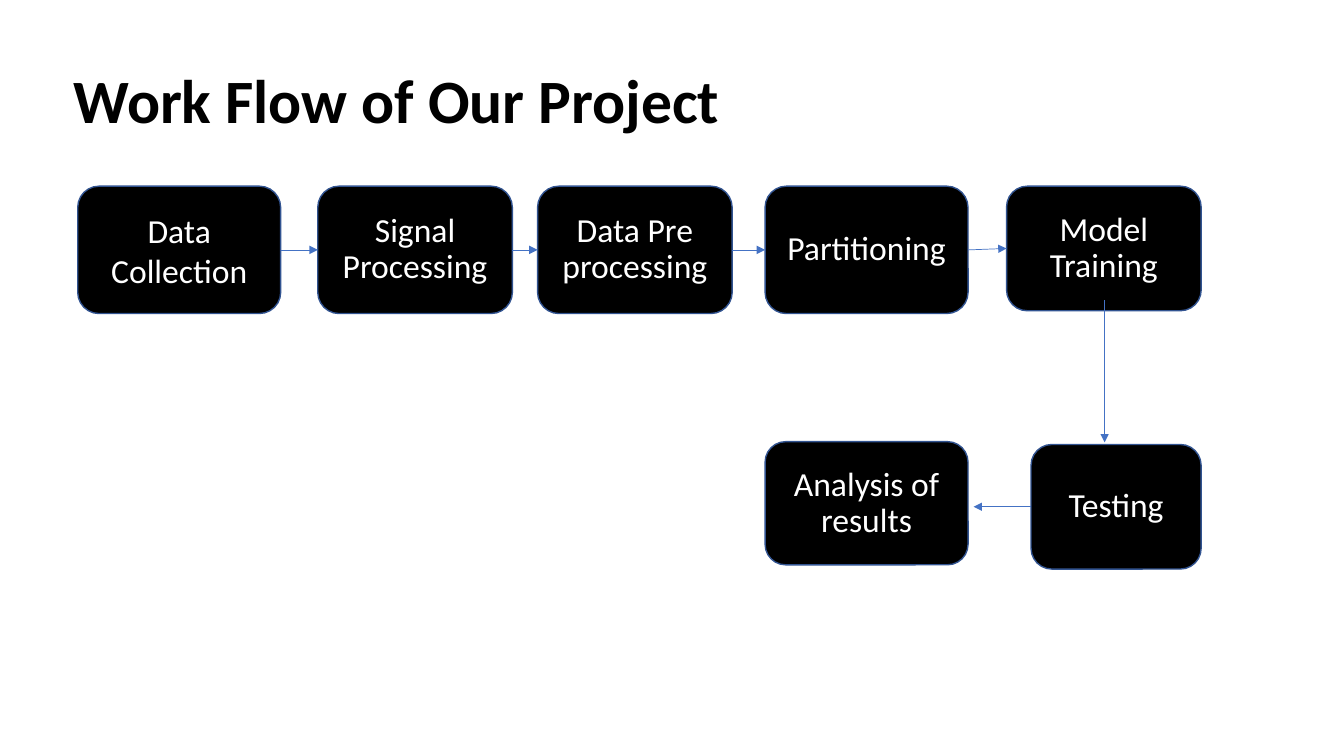
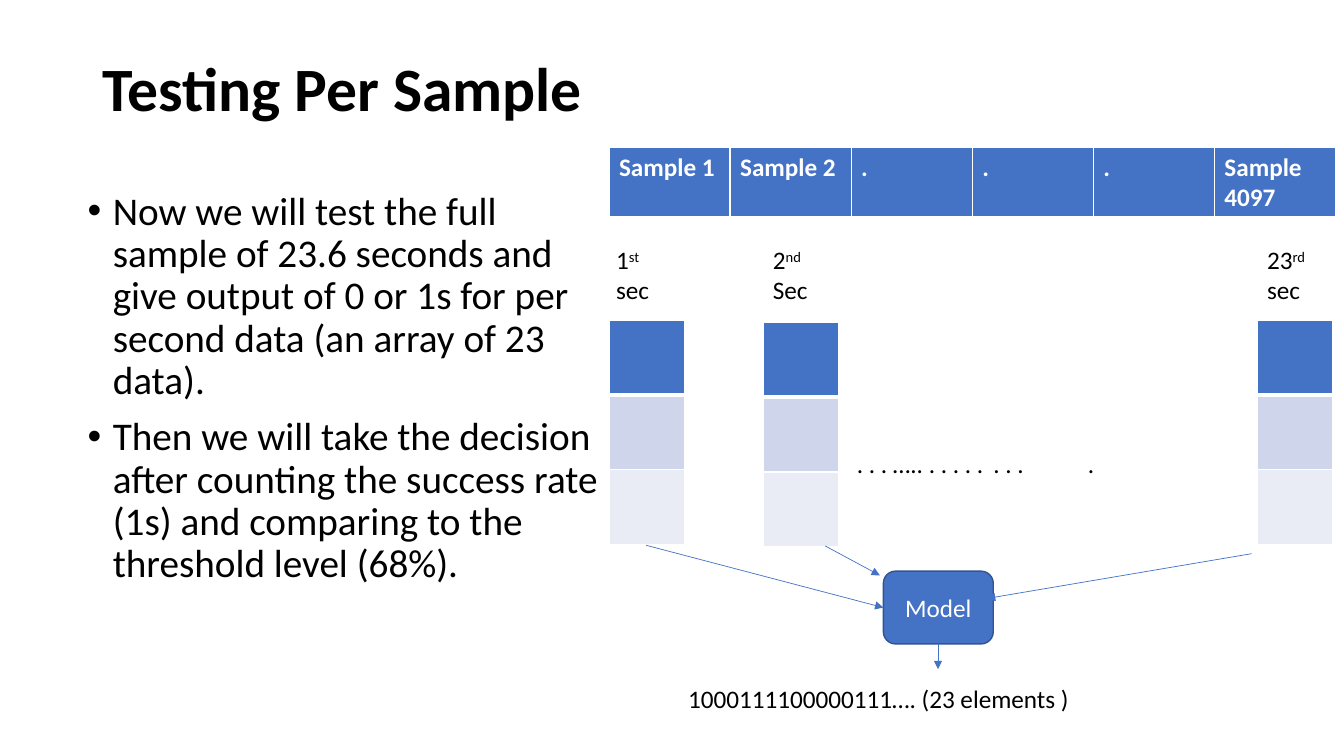
from itertools import pairwise

from lxml import etree
from pptx import Presentation
from pptx.dml.color import RGBColor
from pptx.enum.shapes import MSO_CONNECTOR, MSO_SHAPE
from pptx.enum.text import MSO_ANCHOR, PP_ALIGN
from pptx.oxml.ns import qn
from pptx.util import Pt

FONT = "Calibri"
COLORS = {
    "ink": "000000",
    "paper": "FFFFFF",
    "accent": "4472C4",
    "outline": "325491",
    "band_dark": "CFD5EA",
    "band_light": "E9EBF5",
}


def rgb(name):
    return RGBColor.from_string(COLORS[name])


def style_runs(paragraph, size, color="ink", bold=False):
    for run in paragraph.runs:
        run.font.name = FONT
        run.font.size = Pt(size)
        run.font.bold = bold
        run.font.color.rgb = rgb(color)


def add_text(slide, left, top, width, height, text, size=18, bold=False):
    box = slide.shapes.add_textbox(Pt(left), Pt(top), Pt(width), Pt(height))
    frame = box.text_frame
    frame.word_wrap = True
    frame.text = text
    for paragraph in frame.paragraphs:
        style_runs(paragraph, size, bold=bold)
    return frame


def add_title(slide, left, top, width, height, text):
    frame = add_text(slide, left, top, width, height, text, 44, True)
    frame.vertical_anchor = MSO_ANCHOR.MIDDLE
    frame.paragraphs[0].line_spacing = 0.9


def add_rounded_box(slide, left, top, width, height, text, fill, size):
    box = slide.shapes.add_shape(
        MSO_SHAPE.ROUNDED_RECTANGLE, Pt(left), Pt(top), Pt(width), Pt(height))
    box.shadow.inherit = False
    box.fill.solid()
    box.fill.fore_color.rgb = rgb(fill)
    box.line.color.rgb = rgb("outline")
    box.line.width = Pt(1)
    frame = box.text_frame
    frame.word_wrap = True
    frame.vertical_anchor = MSO_ANCHOR.MIDDLE
    frame.text = text
    frame.paragraphs[0].alignment = PP_ALIGN.CENTER
    style_runs(frame.paragraphs[0], size, "paper")
    return box


def add_arrow(slide, x1, y1, x2, y2):
    arrow = slide.shapes.add_connector(
        MSO_CONNECTOR.STRAIGHT, Pt(x1), Pt(y1), Pt(x2), Pt(y2))
    arrow.line.color.rgb = rgb("accent")
    arrow.line.width = Pt(0.5)
    properties = arrow.line._get_or_add_ln()
    etree.SubElement(properties, qn("a:tailEnd"), type="triangle")
    etree.SubElement(arrow._element.spPr, qn("a:effectLst"))
    return arrow


def set_borders(cell, bottom):
    """Draw white borders, with the bottom one of the given width."""
    properties = cell._tc.get_or_add_tcPr()
    widths = (("a:lnL", 1), ("a:lnR", 1), ("a:lnT", 1), ("a:lnB", bottom))
    for position, (tag, width) in enumerate(widths):
        line = etree.Element(qn(tag), w=str(Pt(width)))
        fill = etree.SubElement(line, qn("a:solidFill"))
        etree.SubElement(fill, qn("a:srgbClr"), val=COLORS["paper"])
        properties.insert(position, line)


def add_grid(slide, left, top, column_width, row_height, rows):
    """Add a table from rows of (fill, bottom border, texts)."""
    count = len(rows[0][2])
    table = slide.shapes.add_table(
        len(rows), count, Pt(left), Pt(top),
        Pt(column_width * count), Pt(row_height * len(rows))).table
    for row, (fill, bottom, texts) in enumerate(rows):
        for column, text in enumerate(texts):
            cell = table.cell(row, column)
            cell.fill.solid()
            cell.fill.fore_color.rgb = rgb(fill)
            set_borders(cell, bottom)
            if text:
                cell.text_frame.text = text
                style_runs(cell.text_frame.paragraphs[0], 18, "paper", True)


def add_bullets(slide, left, top, width, height, items):
    frame = add_text(slide, left, top, width, height, "\n".join(items), 28)
    for paragraph in frame.paragraphs:
        paragraph.line_spacing = 0.9
        paragraph.space_before = Pt(10)
        properties = paragraph._p.get_or_add_pPr()
        properties.set("marL", str(Pt(18)))
        properties.set("indent", str(Pt(-18)))
        etree.SubElement(properties, qn("a:buFont"), typeface="Arial")
        etree.SubElement(properties, qn("a:buChar"), char="•")


def add_ordinal(slide, left, top, width, number, suffix, unit):
    """Label a second as a number with a raised suffix."""
    paragraph = add_text(slide, left, top, width, 51, number).paragraphs[0]
    raised = paragraph.add_run()
    raised.text = suffix
    paragraph.add_run().text = f" {unit}"
    style_runs(paragraph, 18)
    raised._r.get_or_add_rPr().set("baseline", "30000")


def add_workflow(slide, left, top):
    def step(x, y, width, height, text):
        box = add_rounded_box(
            slide, left + x, top + y, width, height, text, "ink", 24)
        if text != "Data Collection":
            box.text_frame.paragraphs[0].line_spacing = 0.9
            box.text_frame.paragraphs[0].space_before = Pt(10)
        return box

    chain = [
        step(0, 0, 145, 91, "Data Collection"),
        step(171.5, 0, 139, 91, "Signal Processing"),
        step(328.5, 0, 139, 91, "Data Pre processing"),
        step(491, 0, 145, 91, "Partitioning"),
        step(663.5, 0, 139, 89, "Model Training"),
    ]
    step(681, 184.5, 121.5, 89, "Testing")
    step(491, 182.5, 145, 88, "Analysis of results")
    for source, target in pairwise(chain):
        arrow = add_arrow(slide, left, top, left, top)
        arrow.begin_connect(source, 3)
        arrow.end_connect(target, 1)
    add_arrow(slide, left + 733.5, top + 81.5, left + 733.5, top + 183)
    add_arrow(slide, left + 681, top + 229, left + 640, top + 229)


def add_sample_diagram(slide, left, top):
    headings = ["Sample 1", "Sample 2", ".", ".", ".", "Sample 4097"]
    add_grid(slide, left, top, 86.5, 50, [("accent", 3, headings)])

    seconds = [
        (0, 124, -2, 38, "1", "st", "sec"),
        (110, 125.5, 110, 45, "2", "nd", "Sec"),
        (463, 124, 463, 45, "23", "rd", "sec"),
    ]
    bands = [("accent", 3, [""]), ("band_dark", 1, [""]),
             ("band_light", 1, [""])]
    for x, y, label_x, width, number, suffix, unit in seconds:
        add_grid(slide, left + x, top + y, 54, 53.3, bands)
        add_ordinal(slide, left + label_x, top + 66, width,
                    number, suffix, unit)

    for x, width, dots in ((170, 105, ". . . ….. . . . . ."),
                           (267.5, 50, ". . ."), (335, 30, ".")):
        add_text(slide, left + x, top + 212, width, 29, dots)

    add_rounded_box(slide, left + 196, top + 303, 78.5, 52,
                    "Model", "accent", 18)
    for x1, y1, x2, y2 in (
            (26.5, 284.5, 196, 329), (154.5, 285, 193.5, 306),
            (459, 290.5, 270, 322.5), (235, 355, 235, 373)):
        add_arrow(slide, left + x1, top + y1, left + x2, top + y2)
    add_text(slide, left + 49.5, top + 379.5, 405.5, 29,
             "1000111100000111…. (23 elements )")


def main():
    deck = Presentation()
    deck.slide_width, deck.slide_height = Pt(960), Pt(540)
    blank = deck.slide_layouts[6]

    workflow = deck.slides.add_slide(blank)
    add_title(workflow, 45.5, 21.5, 828, 104.5, "Work Flow of Our Project")
    add_workflow(workflow, 55.5, 133)

    testing = deck.slides.add_slide(blank)
    add_title(testing, 66, 29, 779, 73, "Testing Per Sample")
    add_bullets(testing, 55.5, 133, 379.5, 350, [
        "Now we will test the full sample of 23.6 seconds and give output "
        "of 0 or 1s for per second data (an array of 23 data).",
        "Then we will take the decision after counting the success rate "
        "(1s) and comparing to the threshold level (68%).",
    ])
    add_sample_diagram(testing, 435, 105)

    deck.save("out.pptx")


if __name__ == "__main__":
    main()
